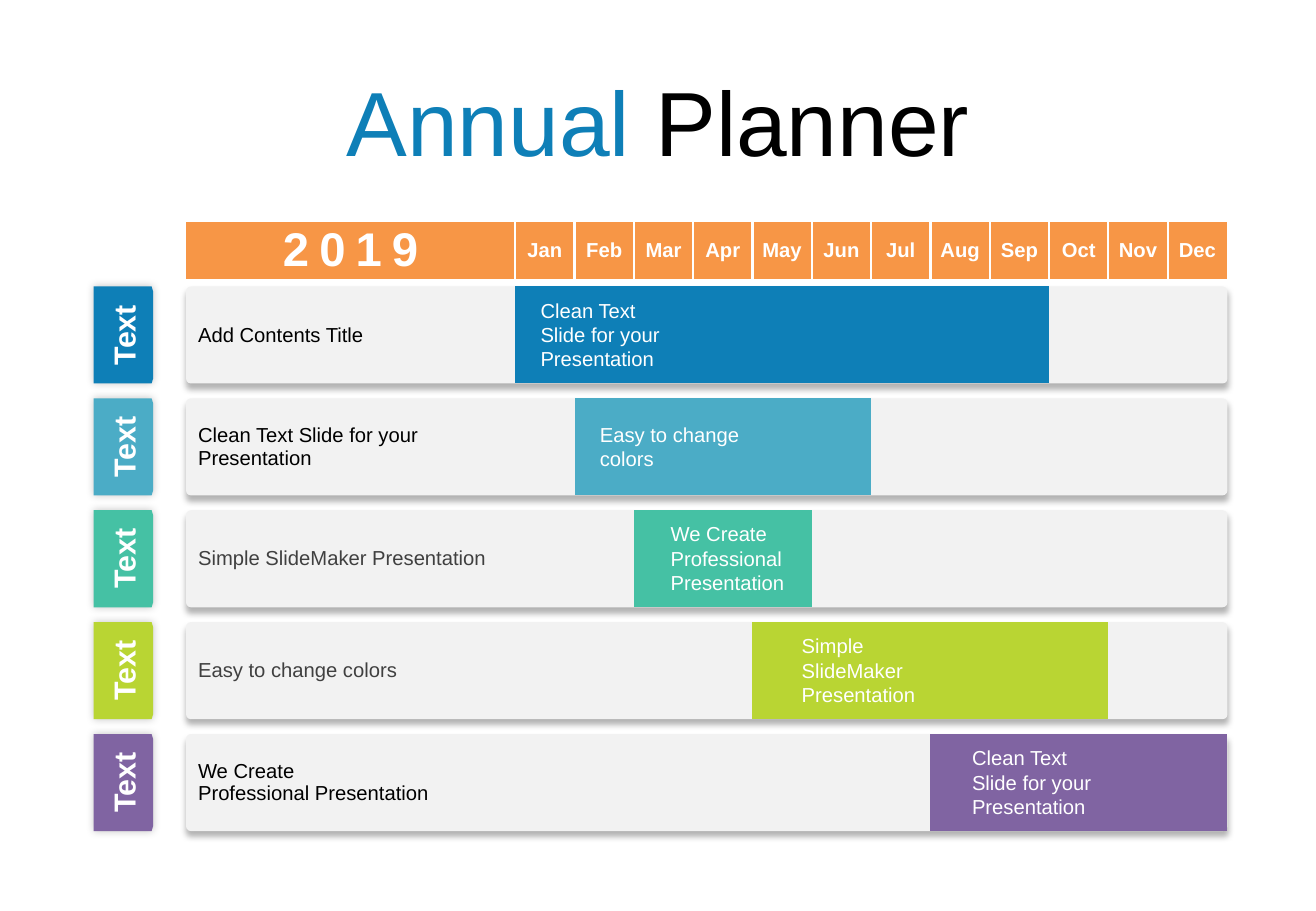
"""Build the annual planner slide: a month table with coloured activity bars."""
from dataclasses import dataclass
from typing import Any

from lxml import etree
from pptx import Presentation
from pptx import util as u
from pptx.dml import color
from pptx.enum import shapes, text
from pptx.oxml import ns

MONTHS = "Jan Feb Mar Apr May Jun Jul Aug Sep Oct Nov Dec".split()
WHITE, BLACK, GREY, ORANGE, PANEL = "FFFFFF", "000000", "404040", "F79646", "F2F2F2"
PLAIN_STYLE = "{2D5ABB26-0587-4C30-8999-92F81FD0307C}"
MIDDLE = text.MSO_ANCHOR.MIDDLE
CENTER = text.PP_ALIGN.CENTER

TABLE_LEFT, TABLE_TOP = 3.89, 4.64
TITLE_WIDTH, MONTH_WIDTH = 6.88, 1.24
HEADER_HEIGHT, HEADER_GAP = 1.19, 0.16
ROW_HEIGHT, ROW_GAP = 2.03, 0.31
PANEL_WIDTH = 21.77
TAB_LEFT, TAB_WIDTH = 1.96, 1.24
TAG_WIDTH, TAG_HEIGHT = 1.83, 1.02
NOTE_WIDTH, NOTE_PADDING, NOTE_LINE = 3.53, 0.21, 0.53


@dataclass
class Activity:
    """One planner row: its title, its bar of months and the note on the bar."""

    title: list[str]
    title_color: str
    bar_color: str
    first: int
    last: int
    note: list[str]
    note_left: float
    note_lines: int


ACTIVITIES = [
    Activity(["Add Contents Title"], BLACK, "0E7FB7", 1, 9,
             ["Clean Text Slide for your Presentation"], 11.05, 3),
    Activity(["Clean Text Slide for your Presentation"], BLACK, "4BACC6", 2, 6,
             ["Easy to change colors"], 12.29, 2),
    Activity(["Simple SlideMaker Presentation"], GREY, "45C1A4", 3, 5,
             ["We Create", "Professional Presentation"], 13.77, 3),
    Activity(["Easy to change colors"], GREY, "B9D533", 5, 10,
             ["Simple SlideMaker Presentation"], 16.51, 3),
    Activity(["We Create", "Professional Presentation"], BLACK, "8064A2", 8, 12,
             ["Clean Text Slide for your Presentation"], 20.07, 3),
]


def paint(target: Any, value: str) -> None:
    """Give a fill or a font a solid colour."""
    if hasattr(target, "solid"):
        target.solid()
        target.fore_color.rgb = color.RGBColor.from_string(value)
    else:
        target.color.rgb = color.RGBColor.from_string(value)


def apply(target: Any, values: dict[str, Any]) -> None:
    """Set each attribute of the target from a dict of format values."""
    for name, value in values.items():
        setattr(target, name, value)


def write(frame: Any, lines: list[list[tuple[str, str]]], size: float,
          bold: bool = False, align: Any = text.PP_ALIGN.LEFT) -> None:
    """Write paragraphs made of (wording, colour) spans."""
    for index, line in enumerate(lines):
        para = frame.add_paragraph() if index else frame.paragraphs[0]
        para.alignment = align
        for wording, value in line:
            span = para.add_run()
            span.text = wording
            apply(span.font, {"name": "Arial", "size": u.Pt(size), "bold": bold})
            paint(span.font, value)


def cast_shadow(shape: Any, alpha: int, blur: float, distance: float, angle: int) -> None:
    """Give a shape a soft black outer shadow."""
    shape.shadow.inherit = False
    effects = shape.element.spPr.find(ns.qn("a:effectLst"))
    shadow = etree.SubElement(effects, ns.qn("a:outerShdw"), blurRad=str(u.Pt(blur)),
                              dist=str(u.Pt(distance)), dir=str(angle * 60000),
                              algn="ctr", rotWithShape="0")
    tint = etree.SubElement(shadow, ns.qn("a:srgbClr"), val=BLACK)
    etree.SubElement(tint, ns.qn("a:alpha"), val=str(alpha * 1000))


def row_top(index: int) -> float:
    """Return the top of an activity row in centimetres."""
    return TABLE_TOP + HEADER_HEIGHT + HEADER_GAP + index * (ROW_HEIGHT + ROW_GAP)


def add_panel(page: Any, top: float) -> None:
    """Draw the pale panel behind a row."""
    panel = page.shapes.add_shape(shapes.MSO_SHAPE.ROUNDED_RECTANGLE, u.Cm(TABLE_LEFT),
                                  u.Cm(top), u.Cm(PANEL_WIDTH), u.Cm(ROW_HEIGHT))
    panel.adjustments[0] = 0.05
    paint(panel.fill, PANEL)
    panel.line.fill.background()
    cast_shadow(panel, 30, 4, 3, 90)


def add_tab(page: Any, top: float, value: str) -> None:
    """Draw the coloured side tab with its upright label."""
    group = page.shapes.add_group_shape()
    right, bottom = TAB_LEFT + TAB_WIDTH, top + ROW_HEIGHT
    corners = [(right - 0.03, top), (right, top + 0.1), (right, bottom - 0.1),
               (right - 0.03, bottom), (TAB_LEFT, bottom)]
    builder = group.shapes.build_freeform(u.Cm(TAB_LEFT), u.Cm(top))
    builder.add_line_segments([(u.Cm(x), u.Cm(y)) for x, y in corners], close=True)
    tab = builder.convert_to_shape()
    cast_shadow(tab, 22, 5, 0, 0)
    tag = group.shapes.add_shape(
        shapes.MSO_SHAPE.RECTANGLE, u.Cm(TAB_LEFT + (TAB_WIDTH - TAG_WIDTH) / 2),
        u.Cm(top + (ROW_HEIGHT - TAG_HEIGHT) / 2), u.Cm(TAG_WIDTH), u.Cm(TAG_HEIGHT))
    tag.rotation = 270
    tag.shadow.inherit = False
    for shape in (tab, tag):
        paint(shape.fill, value)
        shape.line.fill.background()
    apply(tag.text_frame, {"word_wrap": True, "vertical_anchor": MIDDLE})
    write(tag.text_frame, [[("Text", WHITE)]], 18, True, CENTER)


def add_border(cell: Any, side: str) -> None:
    """Draw a white line on one side of a cell."""
    line = etree.SubElement(cell._tc.get_or_add_tcPr(), ns.qn(f"a:ln{side}"),
                            w=str(u.Pt(1.5)))
    fill = etree.SubElement(line, ns.qn("a:solidFill"))
    etree.SubElement(fill, ns.qn("a:srgbClr"), val=WHITE)


def add_planner(page: Any) -> None:
    """Build the table of months and activity bars."""
    heights = [HEADER_HEIGHT, HEADER_GAP]
    heights += [ROW_HEIGHT, ROW_GAP] * len(ACTIVITIES)
    heights.pop()
    widths = [TITLE_WIDTH] + [MONTH_WIDTH] * len(MONTHS)
    frame = page.shapes.add_table(len(heights), len(widths), u.Cm(TABLE_LEFT),
                                  u.Cm(TABLE_TOP), u.Cm(sum(widths)), u.Cm(sum(heights)))
    table = frame.table
    apply(table, {"first_row": False, "horz_banding": False})
    next(frame.element.iter(ns.qn("a:tableStyleId"))).text = PLAIN_STYLE
    for column, width in zip(table.columns, widths):
        column.width = u.Cm(width)
    for row, height in zip(table.rows, heights):
        row.height = u.Cm(height)
    for cell in table.iter_cells():
        apply(cell, {"margin_left": 0, "margin_right": 0, "margin_top": 0,
                     "margin_bottom": 0, "vertical_anchor": MIDDLE})
        cell.fill.background()

    for index, wording in enumerate(["2019"] + MONTHS):
        cell = table.cell(0, index)
        cell._tc.get_or_add_tcPr().remove(cell._tc.tcPr[0])
        if index > 0:
            add_border(cell, "L")
        if index < len(MONTHS):
            add_border(cell, "R")
        paint(cell.fill, ORANGE)
        write(cell.text_frame, [[(wording, WHITE)]], 12 if index else 28, True, CENTER)
    year = table.cell(0, 0).text_frame.paragraphs[0].runs[0]
    year._r.get_or_add_rPr().set("spc", "600")

    for index, activity in enumerate(ACTIVITIES):
        row = 2 + 2 * index
        heading = table.cell(row, 0)
        heading.margin_left = u.Cm(0.25)
        write(heading.text_frame, [[(line, activity.title_color)] for line in activity.title], 12)
        for month in range(activity.first, activity.last + 1):
            paint(table.cell(row, month).fill, activity.bar_color)
    for cell in table.iter_cells():
        if not cell.text:
            etree.SubElement(cell.text_frame.paragraphs[0]._p, ns.qn("a:endParaRPr"), sz="100")


def add_note(page: Any, top: float, activity: Activity) -> None:
    """Place the white note on an activity bar, centred on its row."""
    height = NOTE_PADDING + NOTE_LINE * activity.note_lines
    box = page.shapes.add_textbox(u.Cm(activity.note_left), u.Cm(top + (ROW_HEIGHT - height) / 2),
                                  u.Cm(NOTE_WIDTH), u.Cm(height))
    apply(box.text_frame, {"word_wrap": True,
                           "auto_size": text.MSO_AUTO_SIZE.SHAPE_TO_FIT_TEXT})
    write(box.text_frame, [[(line, WHITE)] for line in activity.note], 12)


def main() -> None:
    """Assemble and save the deck."""
    deck = Presentation()
    apply(deck, {"slide_width": u.Cm(27.51), "slide_height": u.Cm(19.05)})
    page = deck.slides.add_slide(deck.slide_layouts[5])
    title = page.shapes.title
    apply(title, {"left": u.Cm(0), "top": u.Cm(1.24), "width": u.Cm(27.51), "height": u.Cm(2.57)})
    apply(title.text_frame, {"word_wrap": True, "vertical_anchor": text.MSO_ANCHOR.TOP,
                             "auto_size": text.MSO_AUTO_SIZE.NONE})
    write(title.text_frame, [[("Annual", "0E7FB7"), (" Planner", BLACK)]], 54, align=CENTER)
    for index, activity in enumerate(ACTIVITIES):
        add_panel(page, row_top(index))
        add_tab(page, row_top(index), activity.bar_color)
    add_planner(page)
    for index, activity in enumerate(ACTIVITIES):
        add_note(page, row_top(index), activity)
    deck.save("out.pptx")


if __name__ == "__main__":
    main()
